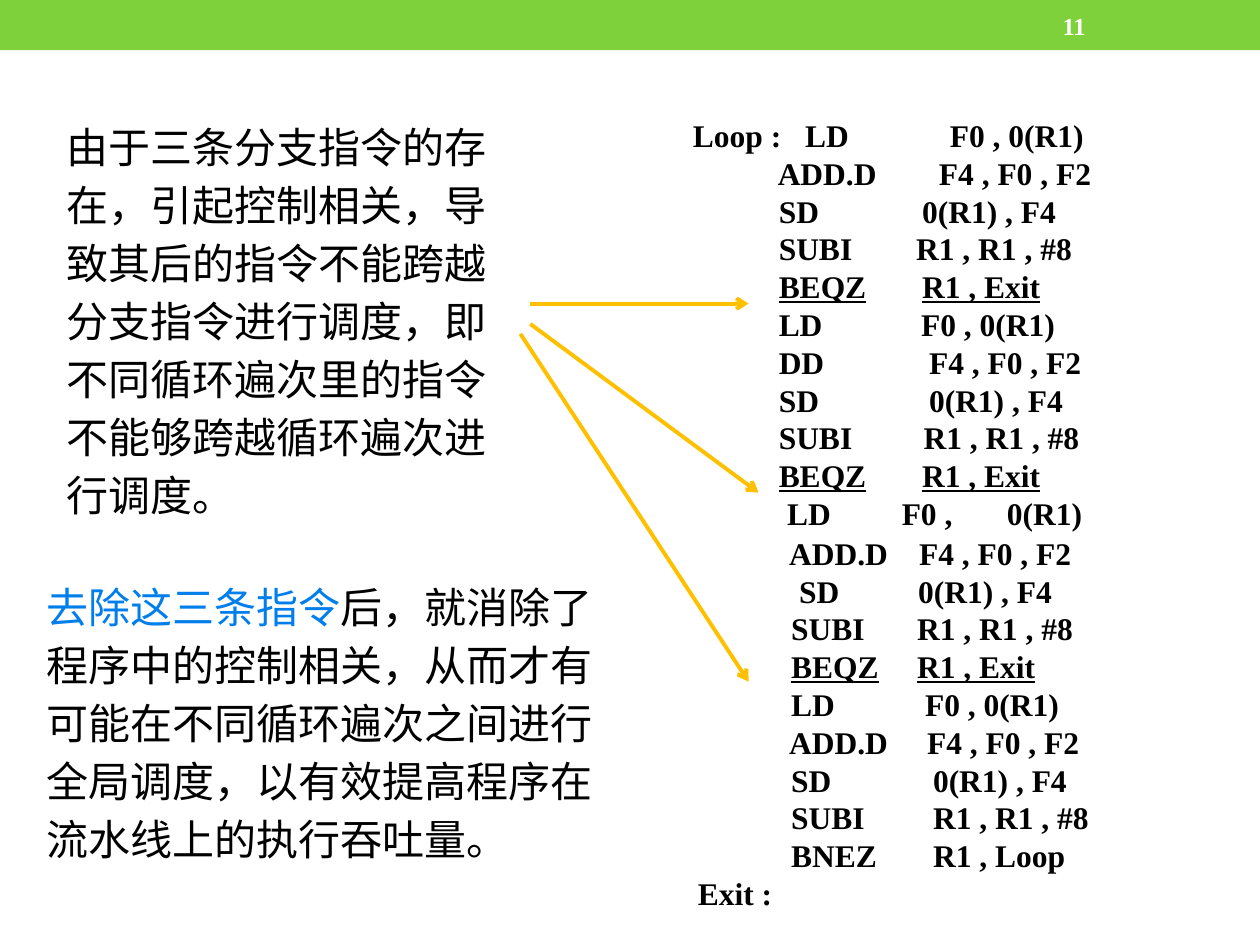
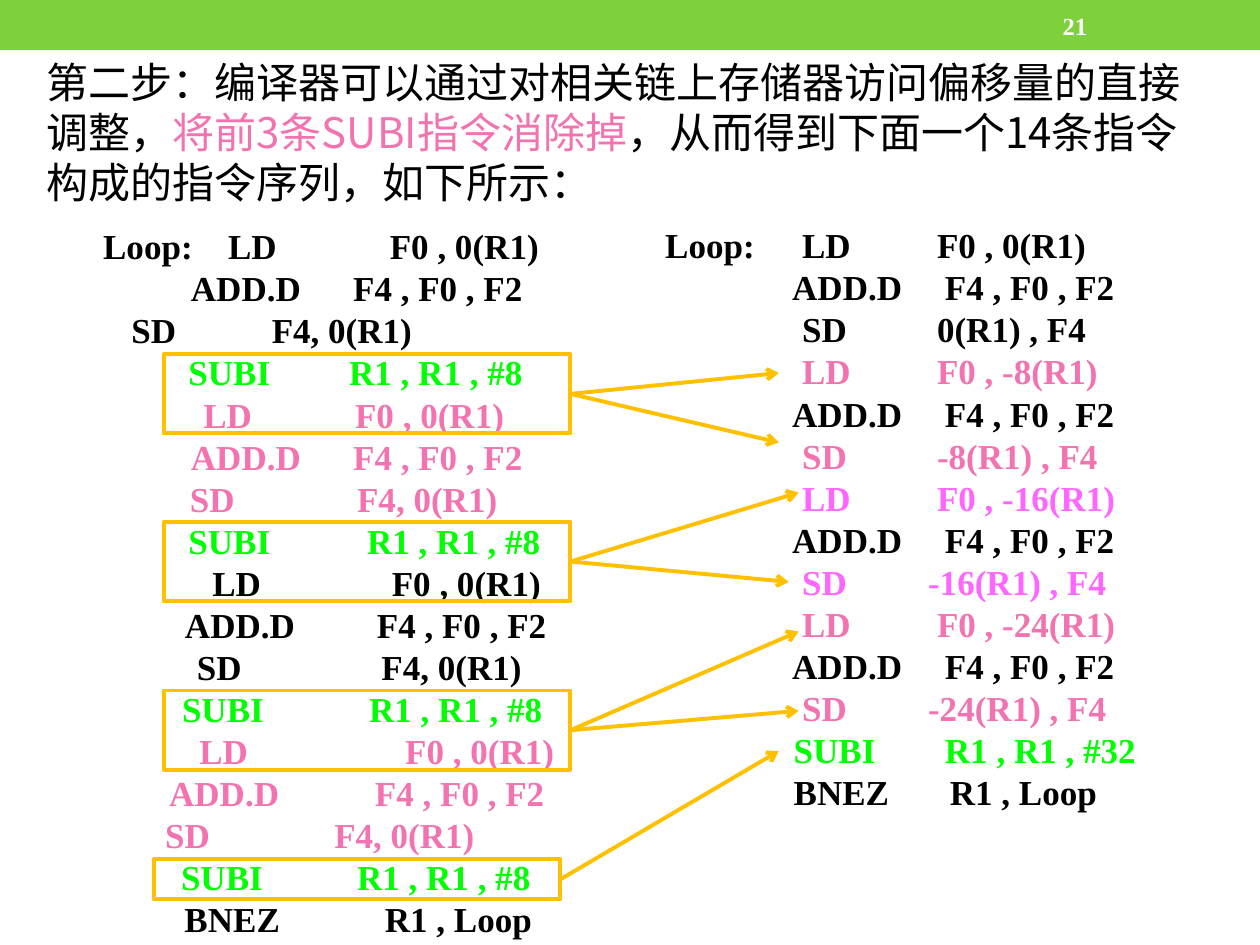
from lxml.etree import SubElement
from pptx import Presentation
from pptx.dml.color import RGBColor
from pptx.enum.shapes import MSO_CONNECTOR as CONN, MSO_SHAPE as SHAPE
from pptx.enum.text import MSO_ANCHOR as ANCHOR, MSO_AUTO_SIZE as FIT, PP_ALIGN as ALIGN
from pptx.oxml.ns import qn
from pptx.util import Cm, Pt

GREEN = RGBColor(0x7F, 0xD1, 0x3B)
WHITE = RGBColor(0xFF, 0xFF, 0xFF)
BLACK = RGBColor(0x00, 0x00, 0x00)
BLUE = RGBColor(0x00, 0x7E, 0xEB)
AMBER = RGBColor(0xFF, 0xC0, 0x00)
PINK = RGBColor(0xF2, 0x73, 0xAF)
MAGENTA = RGBColor(0xFF, 0x66, 0xFF)
LIME = RGBColor(0x00, 0xFF, 0x00)
CJK, SERIF = "Noto Sans CJK SC", "Times New Roman"
PLAIN, JUMP = (BLACK, False), (BLACK, True)
ROSE, VIOLET, STEP = (PINK, False), (MAGENTA, False), (LIME, False)

UNROLLED_TOP = [
    ("Loop :|LD|F0 , 0(R1)", (16.23, 19.15), PLAIN),
    ("|ADD.D|F4 , F0 , F2", (15.68, 18.93), PLAIN),
    ("|SD|0(R1) , F4", (15.7, 18.59), PLAIN),
    ("|SUBI|R1 , R1 , #8", (15.7, 18.47), PLAIN),
    ("|BEQZ|R1 , Exit", (15.7, 18.59), JUMP),
    ("|LD|F0 , 0(R1)", (15.7, 18.57), PLAIN),
    ("|DD|F4 , F0 , F2", (15.7, 18.73), PLAIN),
    ("|SD|0(R1) , F4", (15.7, 18.73), PLAIN),
    ("|SUBI|R1 , R1 , #8", (15.7, 18.62), PLAIN),
    ("|BEQZ|R1 , Exit", (15.7, 18.59), JUMP),
    ("|LD|F0 ,|0(R1)", (15.87, 18.18, 20.3), PLAIN),
]
UNROLLED_END = [
    ("|ADD.D|F4 , F0 , F2", (15.91, 18.53), PLAIN),
    ("|SD|0(R1) , F4", (16.11, 18.51), PLAIN),
    ("|SUBI|R1 , R1 , #8", (15.95, 18.49), PLAIN),
    ("|BEQZ|R1 , Exit", (15.95, 18.49), JUMP),
    ("|LD|F0 , 0(R1)", (15.95, 18.65), PLAIN),
    ("|ADD.D|F4 , F0 , F2", (15.91, 18.69), PLAIN),
    ("|SD|0(R1) , F4", (15.95, 18.81), PLAIN),
    ("|SUBI|R1 , R1 , #8", (15.95, 18.81), PLAIN),
    ("|BNEZ|R1 , Loop", (15.95, 18.81), PLAIN),
    ("Exit :", (), PLAIN),
]
BEFORE = [
    ("Loop:|LD|F0 , 0(R1)", (4.6, 7.86), PLAIN),
    ("|ADD.D|F4 , F0 , F2", (3.85, 7.12), PLAIN),
    ("|SD|F4, 0(R1)", (2.65, 5.48), PLAIN),
    ("|SUBI|R1 , R1 , #8", (3.8, 7.04), STEP),
    ("|LD|F0 , 0(R1)", (4.1, 7.16), ROSE),
    ("|ADD.D|F4 , F0 , F2", (3.85, 7.12), ROSE),
    ("|SD|F4, 0(R1)", (3.83, 7.2), ROSE),
    ("|SUBI|R1 , R1 , #8", (3.8, 7.4), STEP),
    ("|LD|F0 , 0(R1)", (4.28, 7.9), PLAIN),
    ("|ADD.D|F4 , F0 , F2", (3.73, 7.6), PLAIN),
    ("|SD|F4, 0(R1)", (3.97, 7.69), PLAIN),
    ("|SUBI|R1 , R1 , #8", (3.67, 7.44), STEP),
    ("|LD|F0 , 0(R1)", (4.02, 8.17), ROSE),
    ("|ADD.D|F4 , F0 , F2", (3.41, 7.56), ROSE),
    ("|SD|F4, 0(R1)", (3.33, 6.74), ROSE),
    ("|SUBI|R1 , R1 , #8", (3.65, 7.2), STEP),
    ("|BNEZ|R1 , Loop", (3.72, 7.76), PLAIN),
]
MEM, ADD, FAR = (16.17, 18.89), (15.97, 19.05), (16.17, 18.71)
AFTER = [
    ("Loop:|LD|F0 , 0(R1)", MEM, PLAIN),
    ("|ADD.D|F4 , F0 , F2", ADD, PLAIN),
    ("|SD|0(R1) , F4", MEM, PLAIN),
    ("|LD|F0 , -8(R1)", MEM, ROSE),
    ("|ADD.D|F4 , F0 , F2", ADD, PLAIN),
    ("|SD|-8(R1) , F4", MEM, ROSE),
    ("|LD|F0 , -16(R1)", MEM, VIOLET),
    ("|ADD.D|F4 , F0 , F2", ADD, PLAIN),
    ("|SD|-16(R1) , F4", FAR, VIOLET),
    ("|LD|F0 , -24(R1)", MEM, ROSE),
    ("|ADD.D|F4 , F0 , F2", ADD, PLAIN),
    ("|SD|-24(R1) , F4", FAR, ROSE),
    ("|SUBI|R1 , R1 , #32", (16, 19.05), STEP),
    ("|BNEZ|R1 , Loop", (16, 19.15), PLAIN),
]
CAUSE = [("由于三条分支指令的存在，引起控制相关，导致其后的指令不能跨越分支指令进行调度，"
          "即不同循环遍次里的指令不能够跨越循环遍次进行调度。", BLACK)]
REMEDY = [("去除这三条指令", BLUE),
          ("后，就消除了程序中的控制相关，从而才有可能在不同循环遍次之间进行全局调度，"
           "以有效提高程序在流水线上的执行吞吐量。", BLACK)]
SECOND_STEP = [("第二步：编译器可以通过对相关链上存储器访问偏移量的直接调整，", BLACK),
               ("将前3条SUBI指令消除掉", PINK),
               ("，从而得到下面一个14条指令构成的指令序列，如下所示：", BLACK)]
BRANCH_ARROWS = [(10.69, 6.12, 15.09, 6.12), (10.69, 6.53, 15.29, 9.93),
                 (10.49, 6.73, 15.09, 13.74)]
BOX_W = 8.2
MERGES = [
    (3.3, 7.14, 1.6, [(15.7, 7.52), (15.7, 8.92)]),
    (3.3, 10.52, 1.6, [(16.1, 9.93), (15.9, 11.73)]),
    (3.3, 13.92, 1.6, [(16.1, 12.73), (16.1, 14.33)]),
    (3.1, 17.32, 0.81, [(15.7, 15.14)]),
]


def place(s, x, y, w, h):
    """Move a text holder, strip its insets and return its text frame."""
    s.left, s.top, s.width, s.height = Cm(x), Cm(y), Cm(w), Cm(h)
    tf = s.text_frame
    frame = dict(margin_left=0, margin_right=0, margin_top=0, margin_bottom=0,
                 word_wrap=True, auto_size=FIT.NONE, vertical_anchor=ANCHOR.TOP)
    for name, value in frame.items():
        setattr(tf, name, value)
    return tf


def add_text(slide, x, y, w, h):
    """Add a text box and return its text frame."""
    return place(slide.shapes.add_textbox(0, 0, 0, 0), x, y, w, h)


def add_run(p, text, font, size, color, bold=False, underline=False):
    """Append one formatted run."""
    r = p.add_run()
    r.text = text
    for name, value in dict(name=font, size=Pt(size), bold=bold, underline=underline).items():
        setattr(r.font, name, value)
    r.font.color.rgb = color
    SubElement(r._r.rPr, qn("a:ea"), typeface=font)


def write_prose(tf, runs, pitch):
    """Write a Chinese paragraph with coloured parts."""
    p = tf.paragraphs[0]
    p.alignment, p.line_spacing = ALIGN.LEFT, Pt(pitch)
    for text, color in runs:
        add_run(p, text, CJK, 24, color)


def add_code(slide, left, top, width, rows, size, pitch):
    """Write code rows, cells split by bars, on tab stops measured from the slide edge."""
    tf = add_text(slide, left, top, width, len(rows) * Pt(pitch).cm)
    for i, (row, stops, (color, underline)) in enumerate(rows):
        p = tf.paragraphs[0] if i == 0 else tf.add_paragraph()
        p.line_spacing = Pt(pitch)
        tabs = SubElement(p._p.get_or_add_pPr(), qn("a:tabLst"))
        for x in stops:
            SubElement(tabs, qn("a:tab"), pos=str(int(Cm(x - left))), algn="l")
        label, bar, code = row.partition("|")
        add_run(p, label + bar.replace("|", "\t"), SERIF, size, BLACK, True)
        if code:
            add_run(p, code.replace("|", "\t"), SERIF, size, color, True, underline)


def add_arrow(slide, x1, y1, x2, y2):
    """Draw an amber arrow."""
    c = slide.shapes.add_connector(CONN.STRAIGHT, Cm(x1), Cm(y1), Cm(x2), Cm(y2))
    c.line.color.rgb, c.line.width = AMBER, Pt(2.25)
    spPr = c.element.spPr
    SubElement(spPr.find(qn("a:ln")), qn("a:tailEnd"), type="arrow")
    SubElement(spPr, qn("a:effectLst"))


def add_rect(slide, x, y, w, h):
    """Add a rectangle without shadow."""
    s = slide.shapes.add_shape(SHAPE.RECTANGLE, Cm(x), Cm(y), Cm(w), Cm(h))
    s.shadow.inherit = False
    return s


def add_slide(prs, number):
    """Add a slide with its number in the band."""
    slide = prs.slides.add_slide(prs.slide_layouts[5])
    tf = add_text(slide, 21.42, 0.05, 2.5, 0.92)
    tf.vertical_anchor = ANCHOR.MIDDLE
    add_run(tf.paragraphs[0], number, SERIF, 14, WHITE, True)
    return slide


def main():
    """Build both slides."""
    prs = Presentation()
    prs.slide_width, prs.slide_height = Cm(25.4), Cm(19.05)

    slide = add_slide(prs, "11")
    band = add_rect(slide, 0, 0, 25.4, 1.01)
    band.fill.solid()
    band.fill.fore_color.rgb = GREEN
    band.line.fill.background()
    slide.slide_layout.shapes.element.insert(2, band.element)

    write_prose(place(slide.shapes.title, 1.35, 2.3, 8.89, 8.2), CAUSE, 33.1)
    add_code(slide, 13.97, 2.34, 9, UNROLLED_TOP, 18, 21.6)
    add_code(slide, 14.07, 10.76, 9, UNROLLED_END, 18, 21.6)
    write_prose(add_text(slide, 0.94, 11.57, 11.79, 5.9), REMEDY, 33.1)
    for ends in BRANCH_ARROWS:
        add_arrow(slide, *ends)

    slide = add_slide(prs, "21")
    write_prose(place(slide.shapes.title, 0.94, 1.15, 23.42, 3.1), SECOND_STEP, 28.6)
    add_code(slide, 2.08, 4.53, 10.2, BEFORE, 20, 24.05)
    add_code(slide, 13.41, 4.51, 11, AFTER, 20, 24.05)
    for x, y, h, targets in MERGES:
        s = add_rect(slide, x, y, BOX_W, h)
        s.fill.background()
        s.line.color.rgb, s.line.width = AMBER, Pt(2.25)
        for target in targets:
            add_arrow(slide, x + BOX_W, y + h / 2, *target)

    prs.save("out.pptx")


if __name__ == "__main__":
    main()
